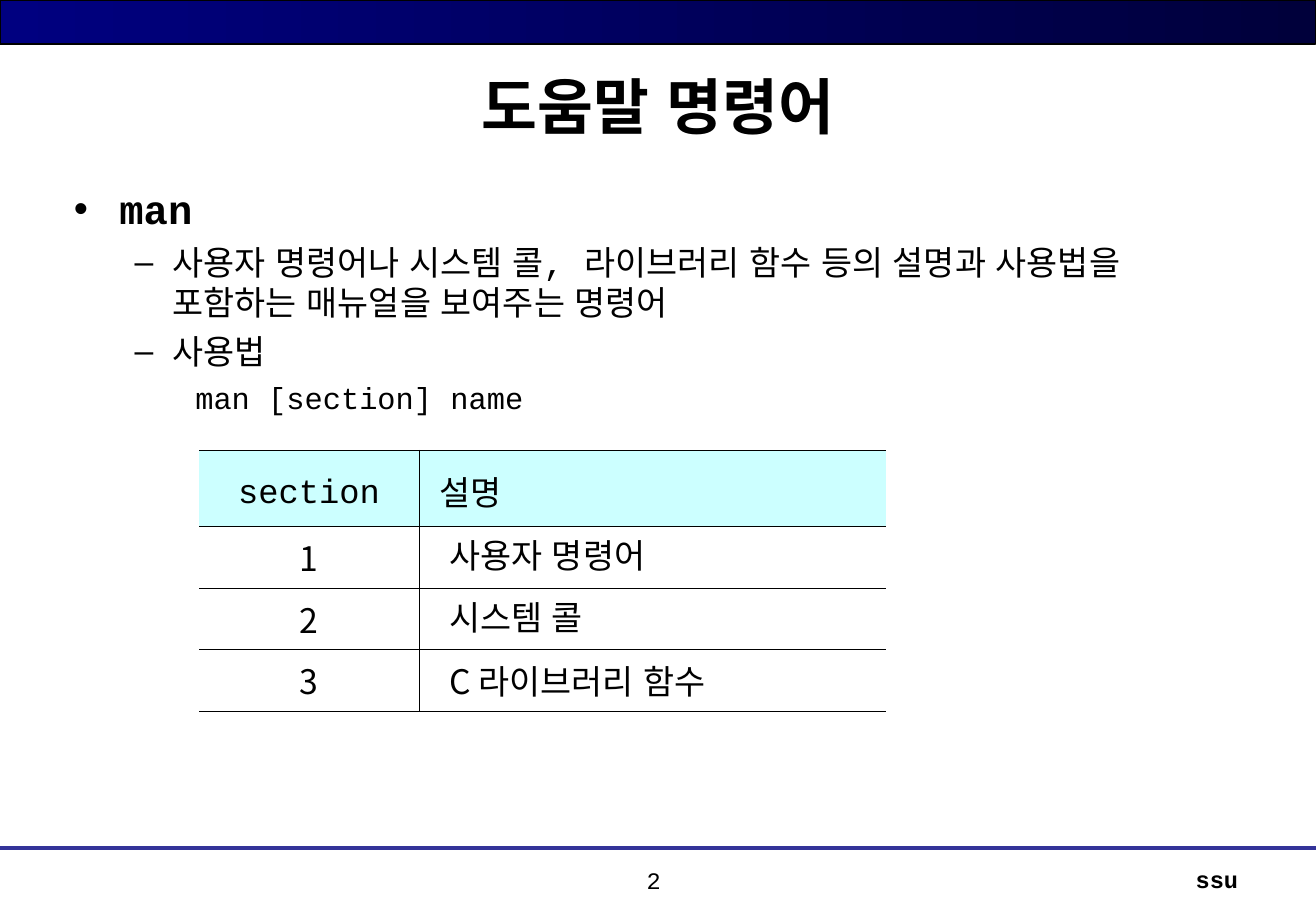
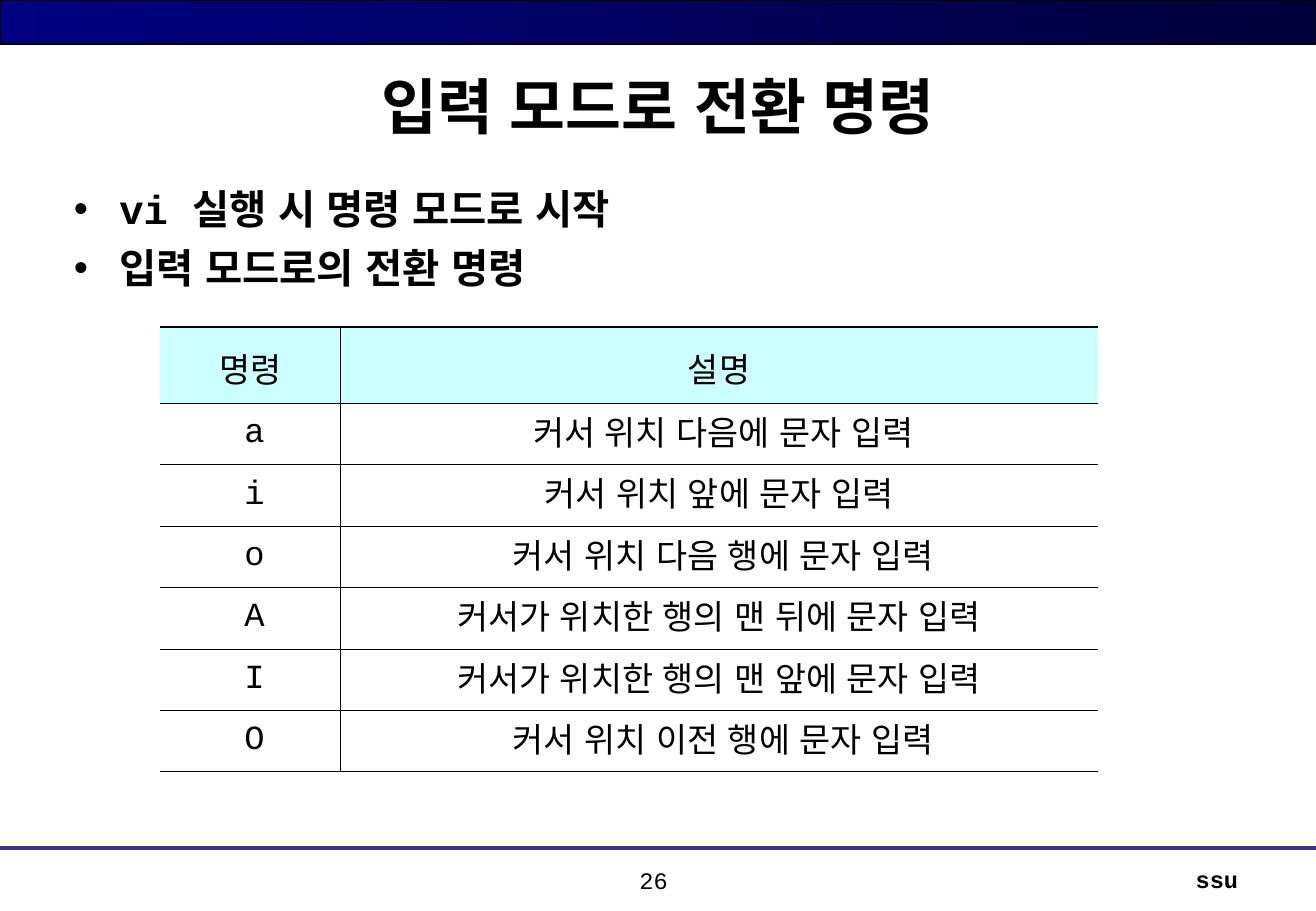
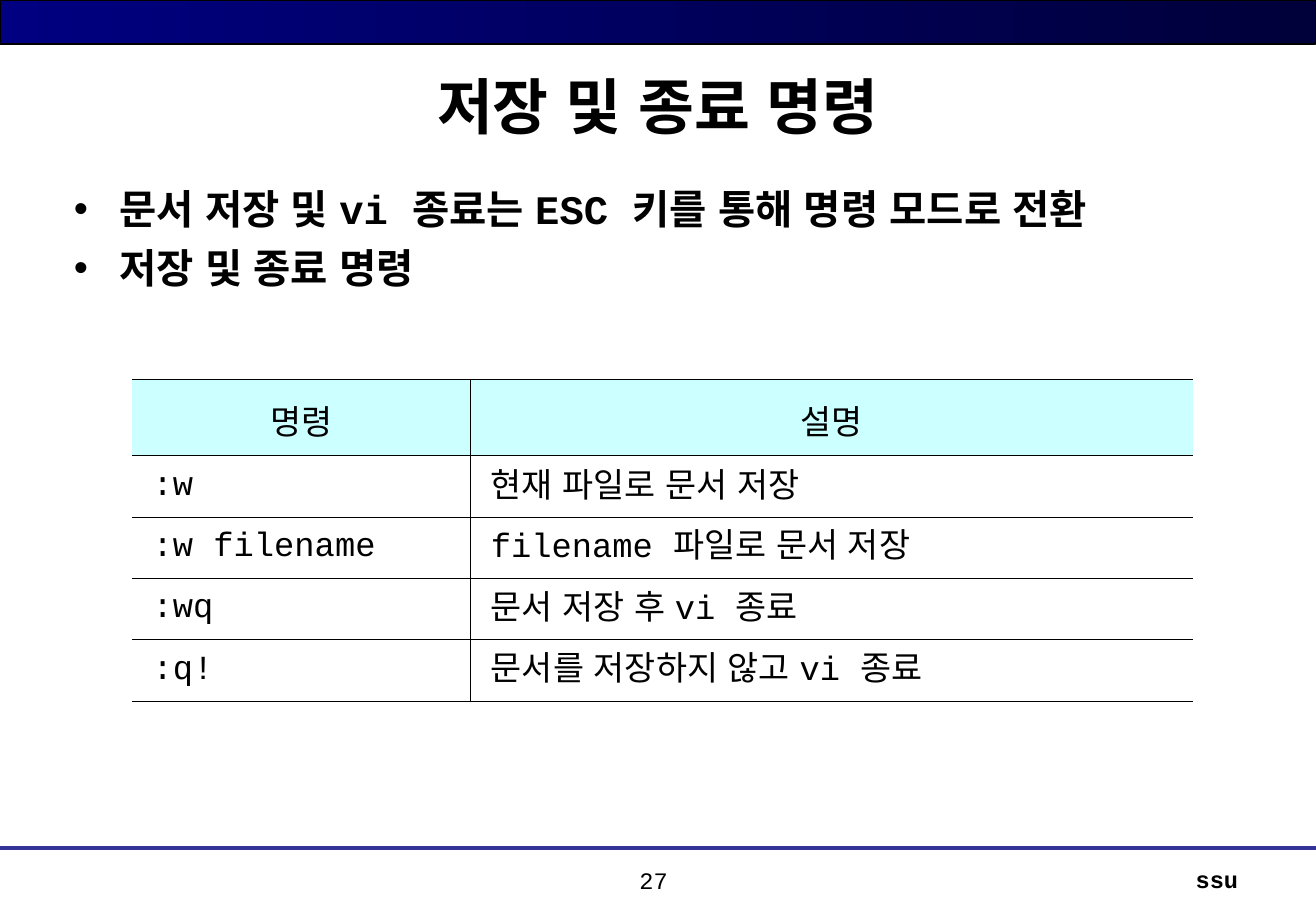
from dataclasses import dataclass

from lxml import etree
from pptx import Presentation
from pptx import util as u
from pptx.dml import color
from pptx.enum import shapes, text
from pptx.oxml import ns

WIDTH, HEIGHT = 780.12, 540
BAND_WIDTH = 780
BLACK, NAVY, MIDNIGHT, INDIGO, AQUA = "000000", "000080", "00003B", "333399", "CCFFFF"
MONO, SANS, SYMBOLS = "Courier New", "Noto Sans CJK KR", "Arial"
HAIRLINE, RULE = 0.11, 0.96
HEADER_HEIGHT, ROW_HEIGHT = 45, 36.4
LEFT, CENTER = text.PP_ALIGN.LEFT, text.PP_ALIGN.CENTER
RIGHT, JUSTIFY = text.PP_ALIGN.RIGHT, text.PP_ALIGN.JUSTIFY


@dataclass(frozen=True)
class ParaStyle:
    size: float = 20
    bold: bool = False
    font: str = MONO
    align: int = LEFT
    level: int = 0
    margin: float = 0
    indent: float = 0
    before: float = 0
    spacing: float = 1
    bullet: str = ""


TITLE = ParaStyle(size=36, bold=True, align=CENTER)
OWNER = ParaStyle(size=14, bold=True, align=RIGHT)
NUMBER = ParaStyle(size=14, align=CENTER)
TOPIC = ParaStyle(size=24, bold=True, margin=27, indent=-27, before=6, bullet="•")
DETAIL = ParaStyle(level=1, margin=58.5, indent=-22.5, before=5, bullet="–")
SYNTAX = ParaStyle(size=18, level=2, margin=90, indent=-18, before=4.5)
HEAD = ParaStyle(align=CENTER, spacing=1.3)
HEAD_HANGING = ParaStyle(align=JUSTIFY, margin=22.8, indent=-12.2, spacing=1.3)
SECTION = ParaStyle(font=SANS, align=CENTER)
SECTION_TEXT = ParaStyle(font=SANS, align=JUSTIFY, margin=22.8, indent=-12.2)
CENTERED = ParaStyle(align=CENTER)
CENTERED_INDENT = ParaStyle(align=CENTER, margin=5)
JUSTIFIED = ParaStyle(align=JUSTIFY, margin=5)


def paint(value):
    return color.RGBColor.from_string(value)


def add_child(parent, tag, **attributes):
    return etree.SubElement(parent, ns.qn(tag), attributes)


def write_para(para, words, style):
    para.alignment = style.align
    para.level = style.level
    para.line_spacing = style.spacing
    para.space_before = u.Pt(style.before)
    properties = para._p.get_or_add_pPr()
    properties.set("marL", str(u.Pt(style.margin)))
    properties.set("indent", str(u.Pt(style.indent)))
    if style.bullet:
        add_child(properties, "a:buFont", typeface=SYMBOLS)
        add_child(properties, "a:buChar", char=style.bullet)
    else:
        add_child(properties, "a:buNone")
    span = para.add_run()
    span.text = words
    span.font.size = u.Pt(style.size)
    span.font.bold = style.bold
    span.font.color.rgb = paint(BLACK)
    span.font.name = style.font
    add_child(span._r.get_or_add_rPr(), "a:ea", typeface=SYMBOLS)


def add_text(page, left, top, width, height, lines, anchor=text.MSO_ANCHOR.TOP):
    box = page.shapes.add_textbox(u.Pt(left), u.Pt(top), u.Pt(width), u.Pt(height))
    frame = box.text_frame
    frame.word_wrap = True
    frame.vertical_anchor = anchor
    for position, (words, style) in enumerate(lines):
        para = frame.add_paragraph() if position else frame.paragraphs[0]
        write_para(para, words, style)


def add_band(page):
    band = page.shapes.add_shape(
        shapes.MSO_SHAPE.RECTANGLE, 0, 0, u.Pt(BAND_WIDTH), u.Pt(26.2))
    band.shadow.inherit = False
    band.fill.gradient()
    band.fill.gradient_angle = 0
    for stop, value in zip(band.fill.gradient_stops, (NAVY, MIDNIGHT)):
        stop.color.rgb = paint(value)
    band.line.color.rgb = paint(BLACK)
    band.line.width = u.Pt(0.75)


def add_footer_rule(page):
    height = u.Pt(502.8)
    rule = page.shapes.add_connector(
        shapes.MSO_CONNECTOR.STRAIGHT, 0, height, u.Pt(BAND_WIDTH), height)
    rule.line.color.rgb = paint(INDIGO)
    rule.line.width = u.Pt(2.5)
    add_child(rule._element.spPr, "a:effectLst")


def add_page(deck, title, number, lines):
    page = deck.slides.add_slide(deck.slide_layouts[6])
    add_band(page)
    add_footer_rule(page)
    add_text(page, 39, 26, 702, 72.5, [(title, TITLE)], text.MSO_ANCHOR.MIDDLE)
    add_text(page, 36.7, 105.8, 704, 391, lines)
    add_text(page, 554.6, 509.3, 186.5, 26.6, [("ssu", OWNER)])
    add_text(page, 335, 510, 105, 26.6, [(str(number), NUMBER)])
    return page


def set_borders(cell, **widths):
    properties = cell._tc.get_or_add_tcPr()
    for side in "LRTB":
        width = widths.get(side, 0)
        line = add_child(properties, f"a:ln{side}", w=str(u.Pt(width)))
        if width:
            fill = add_child(line, "a:solidFill")
            add_child(fill, "a:srgbClr", val=BLACK)
        else:
            add_child(line, "a:noFill")


def add_grid(page, left, top, widths, rows, bottom=HAIRLINE):
    heights = [HEADER_HEIGHT] + [ROW_HEIGHT] * (len(rows) - 1)
    frame = page.shapes.add_table(
        len(rows), len(widths), u.Pt(left), u.Pt(top),
        u.Pt(sum(widths)), u.Pt(sum(heights)))
    grid = frame.table
    grid.first_row = grid.horz_banding = False
    for column, width in zip(grid.columns, widths):
        column.width = u.Pt(width)
    for row, height in zip(grid.rows, heights):
        row.height = u.Pt(height)
    for y, row in enumerate(rows):
        for x, (words, style) in enumerate(row):
            cell = grid.cell(y, x)
            cell.vertical_anchor = text.MSO_ANCHOR.MIDDLE
            cell.margin_left = cell.margin_right = u.Pt(7.2 if y else 1.4)
            set_borders(
                cell,
                L=HAIRLINE if x else 0,
                R=0 if x == len(widths) - 1 else HAIRLINE,
                T=HAIRLINE if y else RULE,
                B=bottom if y == len(rows) - 1 else HAIRLINE)
            if y:
                cell.fill.background()
            else:
                cell.fill.solid()
                cell.fill.fore_color.rgb = paint(AQUA)
            write_para(cell.text_frame.paragraphs[0], words, style)


def style_rows(rows, *styles):
    return [list(zip(row, styles)) for row in rows]


def add_help_page(deck):
    page = add_page(deck, "도움말 명령어", 2, [
        ("man", TOPIC),
        ("사용자 명령어나 시스템 콜, 라이브러리 함수 등의 설명과 사용법을 "
         "포함하는 매뉴얼을 보여주는 명령어", DETAIL),
        ("사용법", DETAIL),
        ("man [section] name", SYNTAX)])
    header = style_rows([("section", "설명")], HEAD, HEAD_HANGING)
    sections = ["사용자 명령어", "시스템 콜", "C 라이브러리 함수"]
    body = [(str(number), words) for number, words in enumerate(sections, 1)]
    add_grid(page, 118, 267.1, [130.4, 276.6],
             header + style_rows(body, SECTION, SECTION_TEXT))


def add_input_page(deck):
    page = add_page(deck, "입력 모드로 전환 명령", 26, [
        ("vi 실행 시 명령 모드로 시작", TOPIC),
        ("입력 모드로의 전환 명령", TOPIC)])
    header = style_rows([("명령", "설명")], HEAD, HEAD)
    body = [
        ("a", "커서 위치 다음에 문자 입력", CENTERED_INDENT),
        ("i", "커서 위치 앞에 문자 입력", CENTERED),
        ("o", "커서 위치 다음 행에 문자 입력", CENTERED_INDENT),
        ("A", "커서가 위치한 행의 맨 뒤에 문자 입력", CENTERED),
        ("I", "커서가 위치한 행의 맨 앞에 문자 입력", CENTERED),
        ("O", "커서 위치 이전 행에 문자 입력", CENTERED_INDENT)]
    rows = [[(key, CENTERED_INDENT), (words, style)] for key, words, style in body]
    add_grid(page, 95, 193.9, [106.7, 449.2], header + rows, bottom=RULE)


def add_save_page(deck):
    page = add_page(deck, "저장 및 종료 명령", 27, [
        ("문서 저장 및 vi 종료는 ESC 키를 통해 명령 모드로 전환", TOPIC),
        ("저장 및 종료 명령", TOPIC)])
    header = style_rows([("명령", "설명")], HEAD, HEAD)
    body = [
        (":w", "현재 파일로 문서 저장"),
        (":w filename", "filename 파일로 문서 저장"),
        (":wq", "문서 저장 후 vi 종료"),
        (":q!", "문서를 저장하지 않고 vi 종료")]
    add_grid(page, 78.3, 224.9, [200.5, 428.5],
             header + style_rows(body, JUSTIFIED, JUSTIFIED))


def main():
    deck = Presentation()
    deck.slide_width, deck.slide_height = u.Pt(WIDTH), u.Pt(HEIGHT)
    add_help_page(deck)
    add_input_page(deck)
    add_save_page(deck)
    deck.save("out.pptx")


if __name__ == "__main__":
    main()
